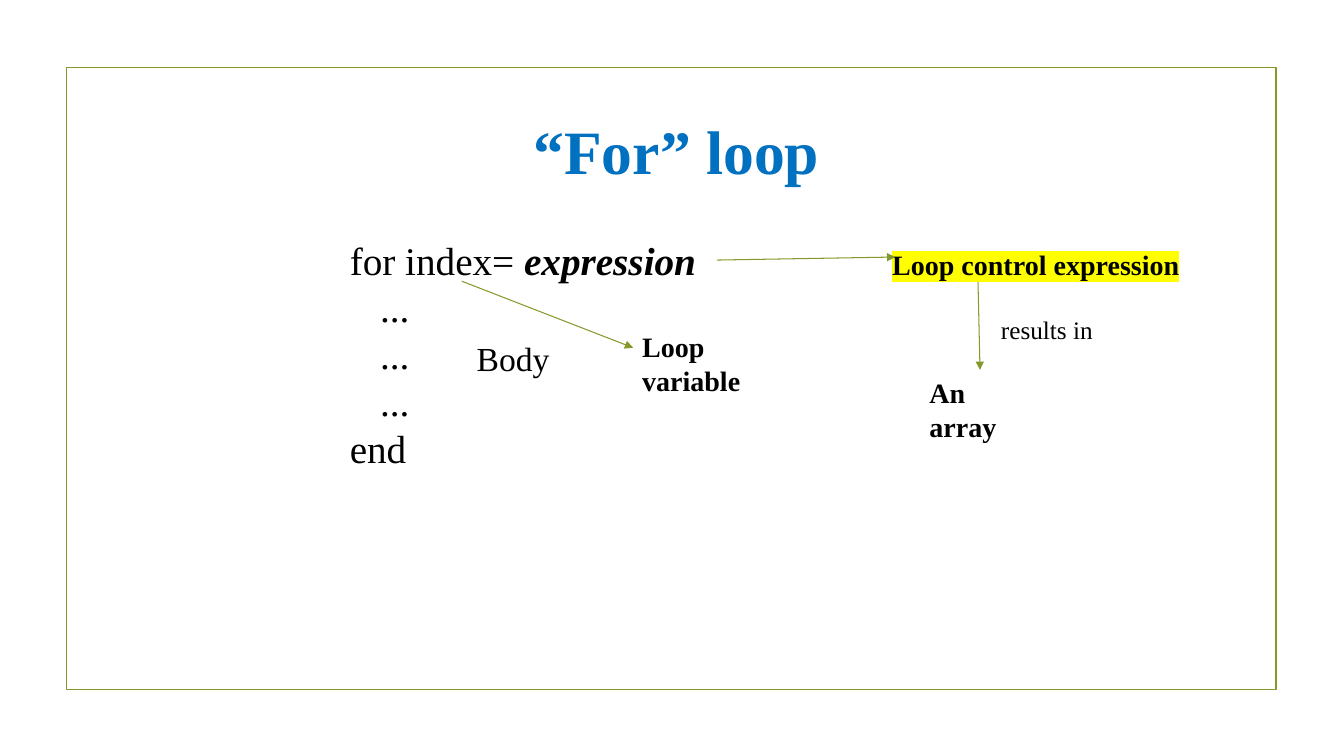
"""Build a slide that explains the parts of a "for" loop."""
from dataclasses import dataclass

from pptx import Presentation
from pptx.dml.color import RGBColor
from pptx.enum.shapes import MSO_CONNECTOR, MSO_SHAPE
from pptx.enum.text import MSO_ANCHOR, PP_ALIGN
from pptx.oxml import parse_xml
from pptx.oxml.ns import nsdecls, qn
from pptx.slide import Slide
from pptx.text.text import TextFrame
from pptx.util import Inches, Pt

STRAIGHT = MSO_CONNECTOR.STRAIGHT
RECTANGLE = MSO_SHAPE.RECTANGLE
TOP = MSO_ANCHOR.TOP
CENTER = PP_ALIGN.CENTER

BLACK = RGBColor(0x00, 0x00, 0x00)
BLUE = RGBColor(0x00, 0x70, 0xC0)
GREEN = RGBColor(0x83, 0x99, 0x2A)
YELLOW = RGBColor(0xFF, 0xFF, 0x00)
FONT = "Times New Roman"


@dataclass
class Label:
    text: str
    left: float
    top: float
    width: float
    height: float
    size: int = 20
    bold: bool = True
    highlight: RGBColor | None = None


@dataclass
class Arrow:
    x1: float
    y1: float
    x2: float
    y2: float


@dataclass
class CodeLine:
    text: str
    indent: float = 0
    emphasis: str = ""


LABELS = [
    Label("Loop control expression", 8.75, 2.41, 3.2, 0.44, highlight=YELLOW),
    Label("Body", 4.63, 3.3, 1.1, 0.5, size=24, bold=False),
    Label("Loop variable", 6.27, 3.22, 1.82, 0.78),
    Label("results in", 9.83, 3.07, 1.2, 0.4, size=18, bold=False),
    Label("An array", 9.12, 3.68, 1.21, 0.78),
]
ARROWS = [
    Arrow(4.58, 2.79, 6.28, 3.45),
    Arrow(7.11, 2.58, 8.88, 2.55),
    Arrow(9.7, 2.8, 9.72, 3.67),
]
CODE = [
    CodeLine("for index= ", emphasis="expression"),
    *[CodeLine("...", indent=0.3)] * 3,
    CodeLine("end"),
]


def set_frame(tf: TextFrame, margin_x: float, margin_y: float) -> None:
    formats = {
        "word_wrap": True,
        "vertical_anchor": TOP,
        "margin_left": Inches(margin_x),
        "margin_right": Inches(margin_x),
        "margin_top": Inches(margin_y),
        "margin_bottom": Inches(margin_y),
    }
    for name, value in formats.items():
        setattr(tf, name, value)


def add_run(p, text: str, size: int, color: RGBColor = BLACK,
            bold: bool = False, italic: bool = False):
    r = p.add_run()
    r.text = text
    formats = {"name": FONT, "size": Pt(size), "bold": bold, "italic": italic}
    for name, value in formats.items():
        setattr(r.font, name, value)
    r.font.color.rgb = color
    return r


def add_frame(s: Slide) -> None:
    sp = s.shapes.add_shape(RECTANGLE, Inches(0.66), Inches(0.67), Inches(12), Inches(6.17))
    sp.shadow.inherit = False
    sp.fill.background()
    sp.line.color.rgb = GREEN
    sp.line.width = Pt(1.25)


def add_title(s: Slide) -> None:
    sp = s.shapes.title
    box = {"left": 1.01, "top": 1.12, "width": 11.4, "height": 0.8}
    for name, value in box.items():
        setattr(sp, name, Inches(value))
    set_frame(sp.text_frame, 0, 0)
    p = sp.text_frame.paragraphs[0]
    p.alignment = CENTER
    add_run(p, "“For” loop", 44, BLUE, bold=True)


def add_code(s: Slide) -> None:
    sp = s.shapes.add_textbox(Inches(3.47), Inches(2.34), Inches(3.6), Inches(2.4))
    tf = sp.text_frame
    set_frame(tf, 0, 0)
    for i, line in enumerate(CODE):
        p = tf.add_paragraph() if i else tf.paragraphs[0]
        p.line_spacing = Pt(33.6)
        p._p.get_or_add_pPr().set("marL", str(Inches(line.indent)))
        add_run(p, line.text, 28)
        if line.emphasis:
            add_run(p, line.emphasis, 28, bold=True, italic=True)


def add_label(s: Slide, label: Label) -> None:
    sp = s.shapes.add_textbox(Inches(label.left), Inches(label.top),
                              Inches(label.width), Inches(label.height))
    set_frame(sp.text_frame, 0.1, 0.05)
    r = add_run(sp.text_frame.paragraphs[0], label.text, label.size, bold=label.bold)
    if label.highlight is not None:
        highlight = parse_xml(f'<a:highlight {nsdecls("a")}>'
                              f'<a:srgbClr val="{label.highlight}"/></a:highlight>')
        r._r.get_or_add_rPr().find(qn("a:latin")).addprevious(highlight)


def add_arrow(s: Slide, arrow: Arrow) -> None:
    sp = s.shapes.add_connector(STRAIGHT, Inches(arrow.x1), Inches(arrow.y1),
                                Inches(arrow.x2), Inches(arrow.y2))
    sp.line.color.rgb = GREEN
    sp.line.width = Pt(0.75)
    sp.line._get_or_add_ln().append(parse_xml(f'<a:tailEnd {nsdecls("a")} type="triangle"/>'))
    sp._element.spPr.append(parse_xml(f'<a:effectLst {nsdecls("a")}/>'))


def main() -> None:
    prs = Presentation()
    prs.slide_width = Inches(13.33)
    prs.slide_height = Inches(7.5)
    s = prs.slides.add_slide(prs.slide_layouts[5])
    add_frame(s)
    add_title(s)
    add_code(s)
    for label in LABELS:
        add_label(s, label)
    for arrow in ARROWS:
        add_arrow(s, arrow)
    prs.save("out.pptx")


if __name__ == "__main__":
    main()
